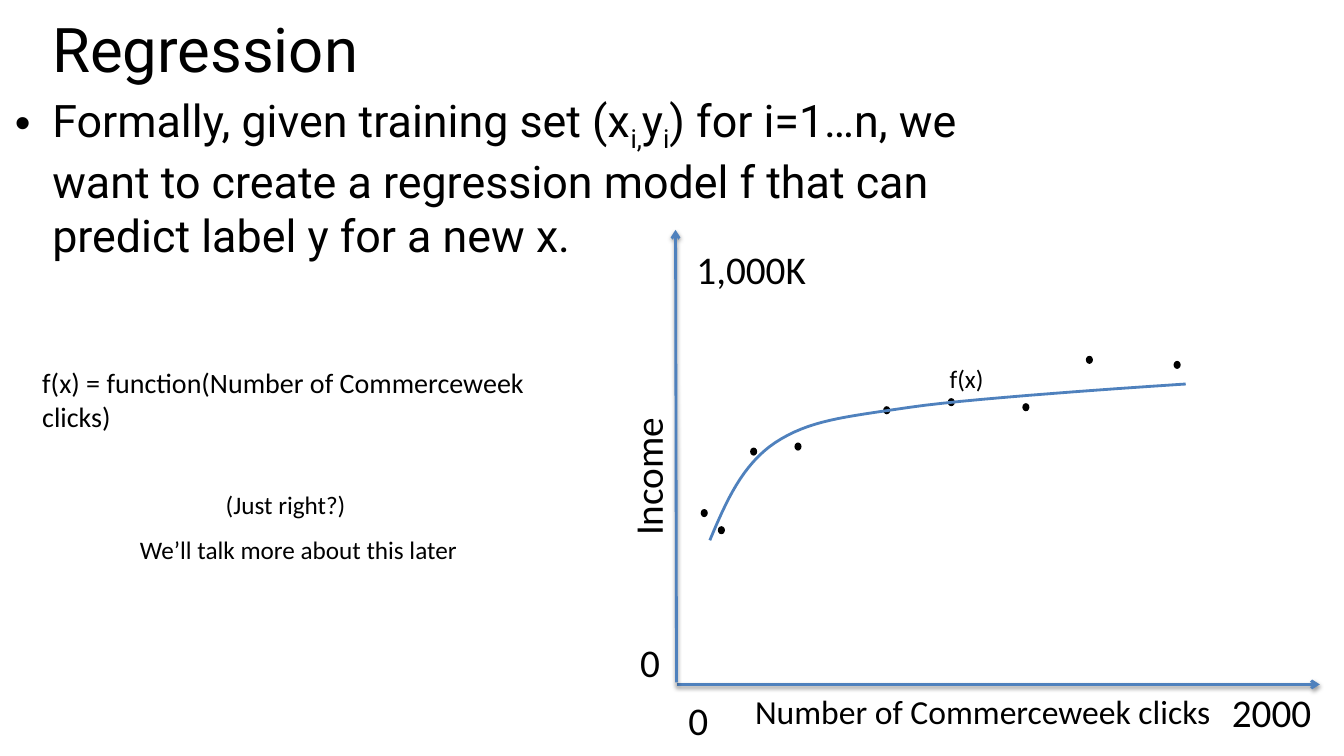
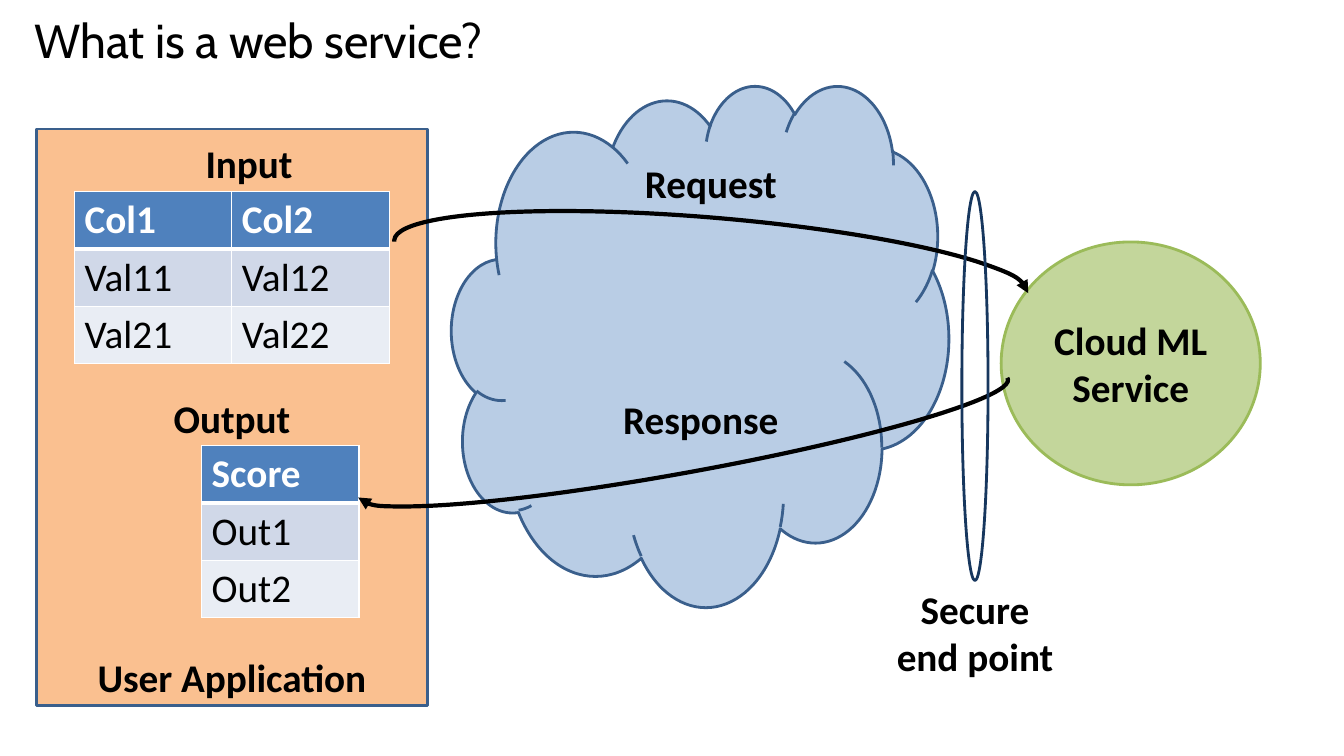
from dataclasses import dataclass
from typing import Optional

from lxml.etree import SubElement
from pptx import Presentation
from pptx.dml.color import RGBColor
from pptx.enum.shapes import MSO_CONNECTOR, MSO_SHAPE
from pptx.enum.text import MSO_ANCHOR, PP_ALIGN
from pptx.oxml.ns import qn
from pptx.util import Inches, Pt

BLACK = RGBColor(0x00, 0x00, 0x00)
WHITE = RGBColor(0xFF, 0xFF, 0xFF)
BLUE = RGBColor(0x4F, 0x81, 0xBD)
DARK_BLUE = RGBColor(0x3A, 0x5F, 0x8C)
NAVY = RGBColor(0x17, 0x37, 0x5E)
LIGHT_BLUE = RGBColor(0xB9, 0xCD, 0xE5)
ORANGE = RGBColor(0xFA, 0xC0, 0x90)
GREEN = RGBColor(0x9B, 0xBB, 0x59)
LIGHT_GREEN = RGBColor(0xC3, 0xD6, 0x9B)
ROW_BANDS = (RGBColor(0xD0, 0xD8, 0xE8), RGBColor(0xE9, 0xED, 0xF4))

BODY_FONT = "Calibri"
LABEL_SIZE = 28
ROW_HEIGHT = 0.57
COLUMN_WIDTH = 1.56
DOT_WIDTH, DOT_HEIGHT = 0.07, 0.08
CURVE_STEPS = 16


@dataclass(frozen=True)
class Label:
    text: str
    left: float
    top: float
    width: float
    height: float = 0.57
    size: int = LABEL_SIZE
    font: str = BODY_FONT
    bold: bool = False
    centred: bool = False
    wrap: bool = False
    rotation: float = 0


@dataclass(frozen=True)
class Figure:
    kind: MSO_SHAPE
    left: float
    top: float
    width: float
    height: float
    fill: Optional[RGBColor] = None
    line: Optional[RGBColor] = None
    line_width: float = 2
    rotation: float = 0


AXIS_LABELS = (
    Label("0", 6.73, 6.86, 0.4),
    Label("2000", 12.12, 6.78, 1),
    Label("Number of Commerceweek clicks", 7.39, 6.81, 5.62, 0.5, size=24, wrap=True),
    Label("Income", 5.73, 4.44, 1.38, rotation=270),
    Label("0", 6.25, 6.28, 0.4),
    Label("1,000K", 6.81, 2.38, 1.3),
)
REMARKS = (
    Label("f(x)", 9.32, 3.56, 0.54, 0.4, size=18),
    Label("f(x) = function(Number of Commerceweek clicks)",
          0.32, 3.58, 5.68, 0.44, size=20, wrap=True),
    Label("(Just right?)", 2.14, 4.81, 1.41, 0.4, size=18),
    Label("We’ll talk more about this later", 1.29, 5.25, 3.4, 0.4, size=18),
)
AXES = (
    ((6.71, 6.79), (13.09, 6.79)),
    ((6.71, 6.77), (6.7, 2.28)),
)
DATA_POINTS = (
    (6.95, 5.05), (7.12, 5.22), (7.44, 4.44), (7.88, 4.39), (8.76, 4.03),
    (9.4, 3.95), (10.14, 4), (10.77, 3.53), (11.64, 3.58),
)
CURVE_START = (7.04, 5.36)
CURVE_SEGMENTS = (
    ((7.2, 4.98), (7.36, 4.61), (7.69, 4.39)),
    ((8.03, 4.17), (8.35, 4.14), (9.03, 4.04)),
    ((9.71, 3.94), (11.76, 3.81), (11.76, 3.81)),
)
# Each piece of the definition with its subscript flag.
DEFINITION = (
    ("Formally, given training set (x", False),
    ("i,", True),
    ("y", False),
    ("i", True),
    (") for i=1…n, we want to create a regression model f that can "
     "predict label y for a new x.", False),
)

APPLICATION = Figure(MSO_SHAPE.RECTANGLE, 0.36, 1.28, 3.88, 5.72, ORANGE, DARK_BLUE)
CLOUD = Figure(MSO_SHAPE.CLOUD, 4.48, 0.84, 4.93, 5.17, LIGHT_BLUE, DARK_BLUE)
SERVICE = Figure(MSO_SHAPE.OVAL, 9.93, 2.4, 2.57, 2.41, LIGHT_GREEN, GREEN)
END_POINT = Figure(MSO_SHAPE.OVAL, 9.54, 1.9, 0.26, 3.86, line=NAVY)
REQUEST = Figure(MSO_SHAPE.ARC, 3.9, 2.16, 6.31, 0.97, None, BLACK, 3, 4.8)
RESPONSE = Figure(MSO_SHAPE.ARC, 3.5, 4.01, 6.55, 0.68, None, BLACK, 3, 169.7)
CAPTIONS = (
    ("User Application", 0.36, 6.43, 0.57),
    ("Output", 0.36, 3.86, 0.57),
    ("Input", 0.53, 1.33, 0.57),
    ("Request", 5.11, 1.53, 0.57),
    ("Response", 5.01, 3.87, 0.57),
    ("Secure\nend point", 7.73, 5.76, 1.04),
)


def style_text(text_frame, size: int, font: str = BODY_FONT,
               colour: RGBColor = BLACK, bold: bool = False) -> None:
    for paragraph in text_frame.paragraphs:
        for run in paragraph.runs:
            run.font.size = Pt(size)
            run.font.name = font
            run.font.color.rgb = colour
            run.font.bold = bold


def add_label(slide, label: Label):
    shape = slide.shapes.add_textbox(Inches(label.left), Inches(label.top),
                                     Inches(label.width), Inches(label.height))
    shape.rotation = label.rotation
    text_frame = shape.text_frame
    text_frame.word_wrap = label.wrap
    text_frame.text = label.text
    style_text(text_frame, label.size, label.font, bold=label.bold)
    if label.centred:
        for paragraph in text_frame.paragraphs:
            paragraph.alignment = PP_ALIGN.CENTER
    return shape


def add_title(slide, text: str, left: float, top: float, width: float,
              size: int, font: str) -> None:
    title = add_label(slide, Label(text, left, top, width, 1.16, size, font, wrap=True))
    title.text_frame.paragraphs[0].line_spacing = 0.8


def add_figure(slide, figure: Figure):
    shape = slide.shapes.add_shape(figure.kind, Inches(figure.left), Inches(figure.top),
                                   Inches(figure.width), Inches(figure.height))
    shape.shadow.inherit = False
    shape.rotation = figure.rotation
    if figure.fill is None:
        shape.fill.background()
    else:
        shape.fill.solid()
        shape.fill.fore_color.rgb = figure.fill
    if figure.line is None:
        shape.line.fill.background()
    else:
        shape.line.color.rgb = figure.line
        shape.line.width = Pt(figure.line_width)
    return shape


def add_arrowhead(shape, kind: str) -> None:
    line = shape.element.spPr.find(qn("a:ln"))
    SubElement(line, qn("a:tailEnd"), type=kind)


def add_axis(slide, start: tuple[float, float], end: tuple[float, float]) -> None:
    axis = slide.shapes.add_connector(
        MSO_CONNECTOR.STRAIGHT, *(Inches(value) for value in start + end))
    axis.line.color.rgb = BLUE
    axis.line.width = Pt(2)
    add_arrowhead(axis, "arrow")
    effects = SubElement(axis.element.spPr, qn("a:effectLst"))
    shadow = SubElement(effects, qn("a:outerShdw"), blurRad=str(Pt(3.1)),
                        dist=str(Pt(1.6)), dir="5400000", rotWithShape="0")
    colour = SubElement(shadow, qn("a:srgbClr"), val=str(BLACK))
    SubElement(colour, qn("a:alpha"), val="38000")


def curve_points() -> list[tuple[int, int]]:
    """Sample the chain of cubic Bézier segments after its start."""
    points = []
    start = CURVE_START
    for first, second, end in CURVE_SEGMENTS:
        for step in range(1, CURVE_STEPS + 1):
            t = step / CURVE_STEPS
            u = 1 - t
            points.append(tuple(
                Inches(u**3 * a + 3 * u * u * t * b + 3 * u * t * t * c + t**3 * d)
                for a, b, c, d in zip(start, first, second, end)))
        start = end
    return points


def add_curve(slide) -> None:
    builder = slide.shapes.build_freeform(*(Inches(value) for value in CURVE_START))
    builder.add_line_segments(curve_points(), close=False)
    curve = builder.convert_to_shape()
    curve.shadow.inherit = False
    curve.fill.background()
    curve.line.color.rgb = BLUE
    curve.line.width = Pt(2)


def add_definition(slide) -> None:
    shape = add_label(slide, Label("", 0.05, 0.87, 10.45, 5.79, wrap=True))
    paragraph = shape.text_frame.paragraphs[0]
    paragraph.space_before = Pt(14)
    for text, _ in DEFINITION:
        paragraph.add_run().text = text
    style_text(shape.text_frame, 32, "Roboto")
    for (_, subscript), properties in zip(DEFINITION, shape.element.iter(qn("a:rPr"))):
        if subscript:
            properties.set("baseline", "-25000")
    properties = next(shape.element.iter(qn("a:pPr")))
    properties.set("marL", str(Inches(0.37)))
    properties.set("indent", str(-Inches(0.37)))
    SubElement(properties, qn("a:buFont"), typeface="Arial")
    SubElement(properties, qn("a:buChar"), char="•")


def set_cell_borders(cell, bottom_width: float) -> None:
    properties = cell._tc.get_or_add_tcPr()
    widths = {"a:lnL": 1, "a:lnR": 1, "a:lnT": 1, "a:lnB": bottom_width}
    for index, (tag, width) in enumerate(widths.items()):
        border = SubElement(properties, qn(tag), w=str(Pt(width)))
        fill = SubElement(border, qn("a:solidFill"))
        SubElement(fill, qn("a:srgbClr"), val=str(WHITE))
        properties.insert(index, border)


def add_data_table(slide, left: float, top: float, rows: tuple[tuple[str, ...], ...]) -> None:
    """Draw a table with a blue header and banded body rows."""
    columns = len(rows[0])
    table = slide.shapes.add_table(
        len(rows), columns, Inches(left), Inches(top),
        Inches(COLUMN_WIDTH * columns), Inches(ROW_HEIGHT * len(rows))).table
    for row_index, row in enumerate(rows):
        is_header = row_index == 0
        for column_index, text in enumerate(row):
            cell = table.cell(row_index, column_index)
            cell.text_frame.text = text
            style_text(cell.text_frame, LABEL_SIZE,
                       colour=WHITE if is_header else BLACK, bold=is_header)
            cell.fill.solid()
            cell.fill.fore_color.rgb = BLUE if is_header else ROW_BANDS[(row_index - 1) % 2]
            set_cell_borders(cell, 3 if is_header else 1)


def build_regression_slide(slide) -> None:
    add_definition(slide)
    add_title(slide, "Regression", 0.42, 0.2, 12.6, 44, "Roboto")
    for start, end in AXES:
        add_axis(slide, start, end)
    for label in AXIS_LABELS + REMARKS:
        add_label(slide, label)
    for left, top in DATA_POINTS:
        add_figure(slide, Figure(MSO_SHAPE.OVAL, left, top, DOT_WIDTH, DOT_HEIGHT, BLACK))
    add_curve(slide)


def build_web_service_slide(slide) -> None:
    add_figure(slide, APPLICATION)
    add_title(slide, "What is a web service?", 0.24, 0.17, 10.67, 34, "Cabin")
    add_figure(slide, CLOUD)
    add_data_table(slide, 0.74, 1.9,
                   (("Col1", "Col2"), ("Val11", "Val12"), ("Val21", "Val22")))
    add_data_table(slide, 2, 4.42, (("Score",), ("Out1",), ("Out2",)))
    service = add_figure(slide, SERVICE)
    service.text_frame.word_wrap = True
    service.text_frame.vertical_anchor = MSO_ANCHOR.MIDDLE
    service.text_frame.text = "Cloud ML Service"
    service.text_frame.paragraphs[0].alignment = PP_ALIGN.CENTER
    style_text(service.text_frame, LABEL_SIZE, bold=True)
    for figure in (REQUEST, RESPONSE):
        arc = add_figure(slide, figure)
        arc.adjustments[0] = 107.819
        arc.adjustments[1] = 0
        add_arrowhead(arc, "triangle")
    for text, left, top, height in CAPTIONS:
        add_label(slide, Label(text, left, top, 3.88, height,
                               bold=True, centred=True, wrap=True))
    add_figure(slide, END_POINT)


def main() -> None:
    presentation = Presentation()
    presentation.slide_width = Inches(13.33)
    presentation.slide_height = Inches(7.5)
    blank_layout = presentation.slide_layouts[6]
    for build in (build_regression_slide, build_web_service_slide):
        build(presentation.slides.add_slide(blank_layout))
    presentation.save("out.pptx")


if __name__ == "__main__":
    main()
